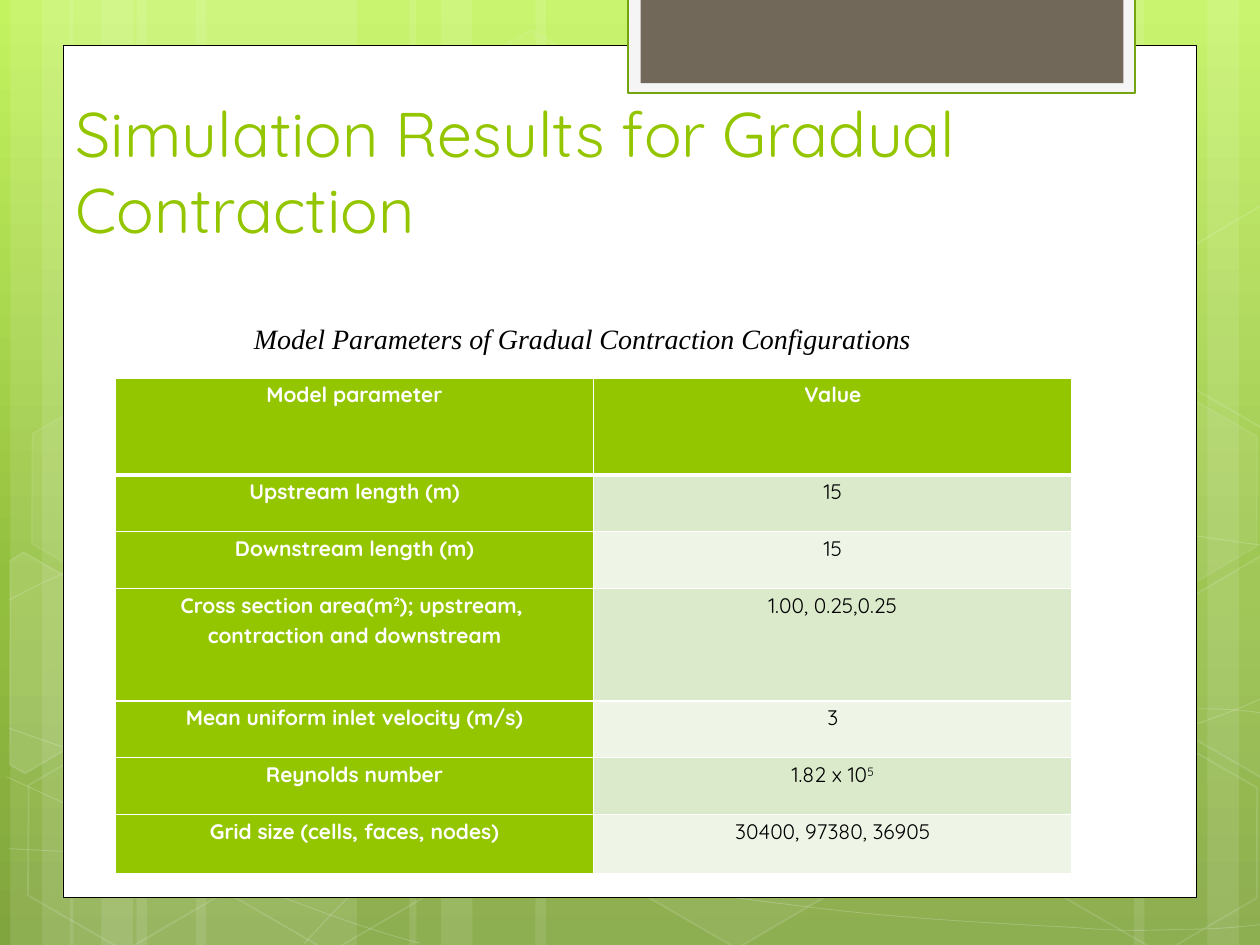
"""Build the gradual contraction results slide."""
import dataclasses
import math

import lxml.etree
import pptx
import pptx.dml.color
import pptx.enum.shapes
import pptx.enum.text
import pptx.oxml.ns
import pptx.util

Pt = pptx.util.Pt
qn = pptx.oxml.ns.qn
Kind = pptx.enum.shapes.MSO_SHAPE
Align = pptx.enum.text.PP_ALIGN
Anchor = pptx.enum.text.MSO_ANCHOR


@dataclasses.dataclass(frozen=True)
class Theme:
    """Colours, fonts and type sizes."""
    white: str = "FFFFFF"
    black: str = "000000"
    green: str = "94C600"
    edge: str = "74A510"
    pale: str = "F5F5F5"
    brown: str = "71685A"
    bands: tuple = ("DCEACC", "EEF5E7")
    sky: tuple = ((0, "C3F35F"), (62, "93BF3F"), (100, "81A53E"))
    sans: str = "Quicksand"
    serif: str = "Times New Roman"
    head: int = 36
    note: int = 16
    cell: int = 12


THEME = Theme()
TILT = 30
BARS = [(78, 126), (6, 36), (24, 60), (112, 126), (40, 36), (58, 60),
        (528, 126), (690, 36), (648, 60), (306, 222), (234, 36), (252, 60)]
CURVES = [
    [(5, 484.6), (43.9, 486.7), (82.8, 488.9), (136.8, 488.2), (190.8, 487.4),
     (257.8, 486), (329.8, 478.8), (401.8, 471.6), (504, 457.9), (570.2, 444.2),
     (635.8, 430.6), (703.4, 409), (725, 396.7)],
    [(5, 343.4), (25.9, 331.9), (46.8, 321.1), (87.1, 310.3), (128.2, 299.5),
     (186.5, 283.7), (249.8, 278.6), (313.9, 273.6), (391.7, 272.9),
     (470.9, 278.6), (550.1, 284.4), (681.8, 306.7), (725, 312.5)],
    [(4.3, 444.2), (91.4, 483.8), (177.8, 523.4), (240.5, 539.3)],
    [(5, 416.2), (27.4, 424.1), (50.4, 432), (92.2, 443.5), (133.9, 454.3),
     (196.6, 472.3), (257, 484.6), (316.8, 496.8), (392.4, 509.8), (452.2, 517),
     (511.9, 524.9), (576, 527.8), (614.2, 529.9), (651.6, 532.8),
     (661.7, 531.4), (680.4, 531.4), (699.1, 530.6), (712.1, 529.2),
     (725, 528.5)],
    [(174.2, 539.3), (187.2, 524.9), (200.2, 510.5), (217.4, 497.5),
     (234.7, 484.6), (259.2, 470.2), (279.4, 460.1), (299.5, 450),
     (311.8, 445.7), (338.4, 438.5), (364.3, 431.3), (412.6, 421.2),
     (437.8, 416.2), (463.7, 411.1), (467.3, 411.1), (489.6, 409.7),
     (511.9, 407.5), (547.2, 405.4), (571.7, 404.6), (596.9, 403.9),
     (637.9, 404.6), (637.9, 404.6), (654, 404.6), (670, 404.6), (686.2, 404.6),
     (699.1, 405.4), (711.4, 406.1), (717.8, 406.8), (724.3, 407.5),
     (722.2, 406.8), (724.3, 407.5)],
]
HEXES = [(240.5, 25.9, 4, 8), (357.8, 424.1, 6, 12), (7.9, 425.5, 0, 12),
         (10.1, 224.6, 7, 8), (125.3, 426.2, 0, 12), (542.2, 326.2, 10, 12),
         (600.5, 427, 0, 12), (600.5, 226.1, 7, 8)]
LEFT = [(5.8, 320.4), (13.7, 315.4), (69.1, 347), (68.4, 410.4),
        (14.4, 442.1), (5.8, 437)]
RIGHT = [(666.7, 349.2), (720.7, 317.5), (726.5, 321.1), (726.5, 441.4),
         (721.4, 444.2), (666.7, 412.6)]
ROWS = [
    (55.4, [["Model parameter"]], [["Value"]]),
    (32.4, [["Upstream length (m)"]], [["15"]]),
    (32.4, [["Downstream length (m)"]], [["15"]]),
    (64.4, [["Cross section area(m", "^2", "); upstream, "],
            ["contraction and downstream"]], [["1.00, 0.25,0.25"]]),
    (32.4, [["Mean uniform inlet velocity (m/s)"]], [["3"]]),
    (32.4, [["Reynolds number"]], [["1.82 x 10", "^5"]]),
    (33.8, [["Grid size (cells, faces, nodes)"]], [["30400, 97380, 36905"]]),
]


def tint(code):
    """Turn a hex code into a colour."""
    return pptx.dml.color.RGBColor.from_string(code)


def fade(part, share):
    """Set the opacity of a fill or line in percent."""
    for node in part.iter(qn("a:srgbClr")):
        lxml.etree.SubElement(node, qn("a:alpha"), val=str(share * 1000))


def paint(shape, fill=None, line=None, width=1, body=100, rim=100):
    """Give a shape its fill, line and opacities."""
    shape.shadow.inherit = False
    if fill and body:
        shape.fill.solid()
        shape.fill.fore_color.rgb = tint(fill)
        if body < 100:
            fade(shape.element.spPr.find(qn("a:solidFill")), body)
    else:
        shape.fill.background()
    if line:
        shape.line.color.rgb = tint(line)
        shape.line.width = Pt(width)
        if rim < 100:
            fade(shape.element.spPr.find(qn("a:ln")), rim)
    else:
        shape.line.fill.background()


def block(slide, box, kind=Kind.RECTANGLE, **look):
    """Add a painted preset shape."""
    shape = slide.shapes.add_shape(kind, *map(Pt, box))
    paint(shape, **look)
    return shape


def trace(slide, spots, close, **look):
    """Add a painted outline through the given points."""
    pen = slide.shapes.build_freeform(*spots[0], scale=float(Pt(1)))
    pen.add_line_segments(spots[1:], close=close)
    shape = pen.convert_to_shape()
    paint(shape, **look)
    return shape


def curve(slide, knots, **look):
    """Add a chain of cubic curves."""
    shape = trace(slide, knots, False, **look)
    lines = list(shape.element.iter(qn("a:lnTo")))
    for i in range(0, len(lines), 3):
        bend = lxml.etree.Element(qn("a:cubicBezTo"))
        lines[i].addprevious(bend)
        for line in lines[i:i + 3]:
            bend.append(line[0])
            line.getparent().remove(line)


def tile(slide, spots, pivot, **look):
    """Add a tilted outline that lands on the given points."""
    turn = math.radians(-TILT)
    cos, sin = math.cos(turn), math.sin(turn)
    px, py = pivot
    flat = [(px + (x - px) * cos - (y - py) * sin,
             py + (x - px) * sin + (y - py) * cos) for x, y in spots]
    trace(slide, flat, True, **look).rotation = TILT


def write(para, text, size, face, shade, bold=False, slant=False):
    """Add one run, raised if it starts with a caret."""
    run = para.add_run()
    run.text = text.lstrip("^")
    font = run.font
    font.size, font.name, font.bold, font.italic = Pt(size), face, bold, slant
    font.color.rgb = tint(shade)
    if text.startswith("^"):
        font._element.set("baseline", "30000")


def sky(slide):
    """Fill the background with the vertical gradient."""
    slide.background.fill.gradient()
    grad = next(slide.element.iter(qn("a:gradFill")))
    stops = grad.find(qn("a:gsLst"))
    for old in list(stops):
        stops.remove(old)
    for place, code in THEME.sky:
        stop = lxml.etree.SubElement(stops, qn("a:gs"), pos=str(place * 1000))
        lxml.etree.SubElement(stop, qn("a:srgbClr"), val=code)
    grad.find(qn("a:lin")).set("ang", "5400000")


def decor(slide):
    """Draw the bars, curves, hexagons and panels."""
    white = THEME.white
    for left, width in BARS:
        block(slide, (left, 0, width, 540), fill=white, body=10)
    for knots in CURVES:
        curve(slide, knots, line=white, width=0.5, rim=20)
    for left, top, body, rim in HEXES:
        shape = block(slide, (left, top, 126, 109.4), Kind.HEXAGON, fill=white,
                      line=white, body=body, rim=rim)
        shape.adjustments[0] = 0.285
        shape.rotation = TILT
    upper = [(x, y - 200.2) for x, y in RIGHT]
    for spots, pivot, body in ((LEFT, (25.9, 385.2), 10),
                               (RIGHT, (709.2, 374.4), 4),
                               (upper, (709.2, 174.2), 0)):
        tile(slide, spots, pivot, fill=white, line=white, body=body, rim=12)
    block(slide, (36, 26, 648, 487), fill=white, line=THEME.black, width=0.5)
    block(slide, (359, -1.5, 289.7, 54.7), fill=THEME.pale, line=THEME.edge,
          width=1.25)
    block(slide, (366, -1.5, 276, 49), fill=THEME.brown)


def title(slide):
    """Place the title above the panel."""
    shape = slide.shapes.title
    shape.element.getparent().append(shape.element)
    shape.left, shape.top, shape.width, shape.height = map(Pt, (36, 54, 553, 90))
    body = shape.text_frame
    body.auto_size = pptx.enum.text.MSO_AUTO_SIZE.NONE
    body.vertical_anchor = Anchor.BOTTOM
    para = body.paragraphs[0]
    para.alignment = Align.LEFT
    write(para, "Simulation Results for Gradual Contraction", THEME.head,
          THEME.sans, THEME.green)


def note(slide):
    """Add the table caption."""
    body = slide.shapes.add_textbox(*map(Pt, (138, 180, 426, 48))).text_frame
    body.word_wrap = True
    write(body.paragraphs[0],
          "Model Parameters of Gradual Contraction Configurations",
          THEME.note, THEME.serif, THEME.black, slant=True)


def frame(cell, row):
    """Give a cell white borders, thick below the header."""
    props = cell._tc.get_or_add_tcPr()
    sides = {"L": 1, "R": 1, "T": 3 if row == 1 else 1, "B": 1 if row else 3}
    for spot, (side, width) in enumerate(sides.items()):
        line = lxml.etree.Element(qn("a:ln" + side), w=str(Pt(width)))
        fill = lxml.etree.SubElement(line, qn("a:solidFill"))
        lxml.etree.SubElement(fill, qn("a:srgbClr"), val=THEME.white)
        props.insert(spot, line)


def fill(cell, lines, strong):
    """Write centred lines of runs into a cell."""
    body = cell.text_frame
    for i, runs in enumerate(lines):
        para = body.add_paragraph() if i else body.paragraphs[0]
        para.alignment, para.line_spacing = Align.CENTER, 1.15
        for text in runs:
            write(para, text, THEME.cell, THEME.sans,
                  THEME.white if strong else THEME.black, strong)


def table(slide):
    """Add the parameter table."""
    box = map(Pt, (66, 216, 546.6, 283.2))
    grid = slide.shapes.add_table(len(ROWS), 2, *box).table
    for row, (height, *texts) in enumerate(ROWS):
        grid.rows[row].height = Pt(height)
        for col, lines in enumerate(texts):
            strong = row == 0 or col == 0
            cell = grid.cell(row, col)
            cell.margin_left = cell.margin_right = Pt(5)
            cell.margin_top = cell.margin_bottom = 0
            cell.fill.solid()
            cell.fill.fore_color.rgb = tint(
                THEME.green if strong else THEME.bands[(row - 1) % 2])
            frame(cell, row)
            fill(cell, lines, strong)


def main():
    """Build and save the slide."""
    deck = pptx.Presentation()
    deck.slide_width, deck.slide_height = Pt(720), Pt(540)
    slide = deck.slides.add_slide(deck.slide_layouts[5])
    sky(slide)
    decor(slide)
    title(slide)
    table(slide)
    note(slide)
    deck.save("out.pptx")


if __name__ == "__main__":
    main()
